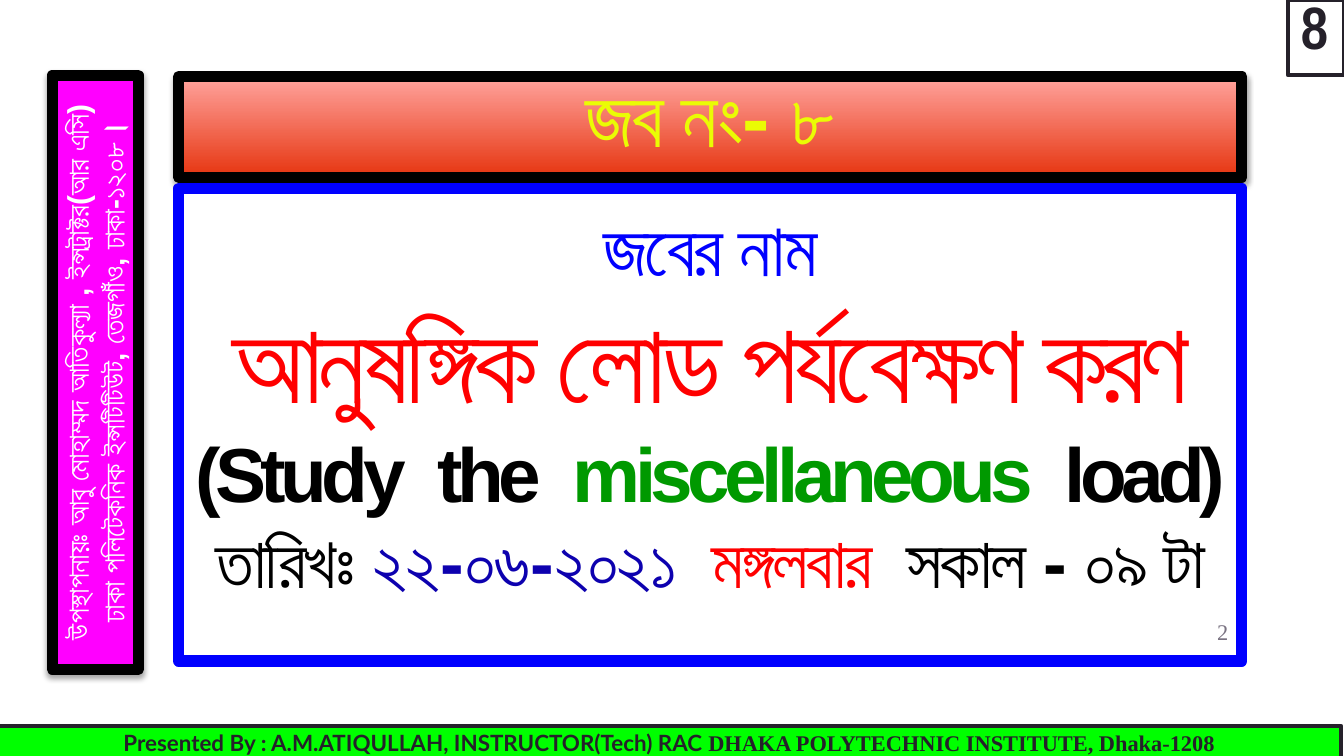
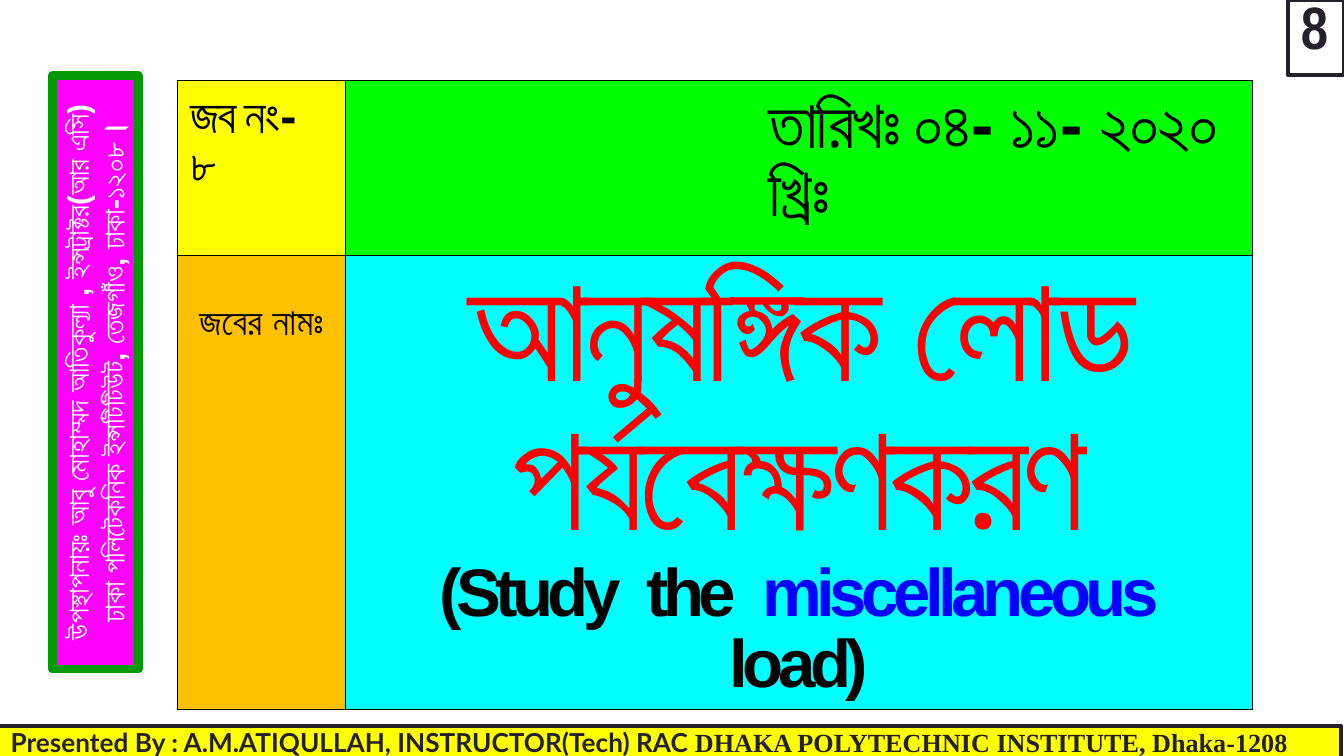
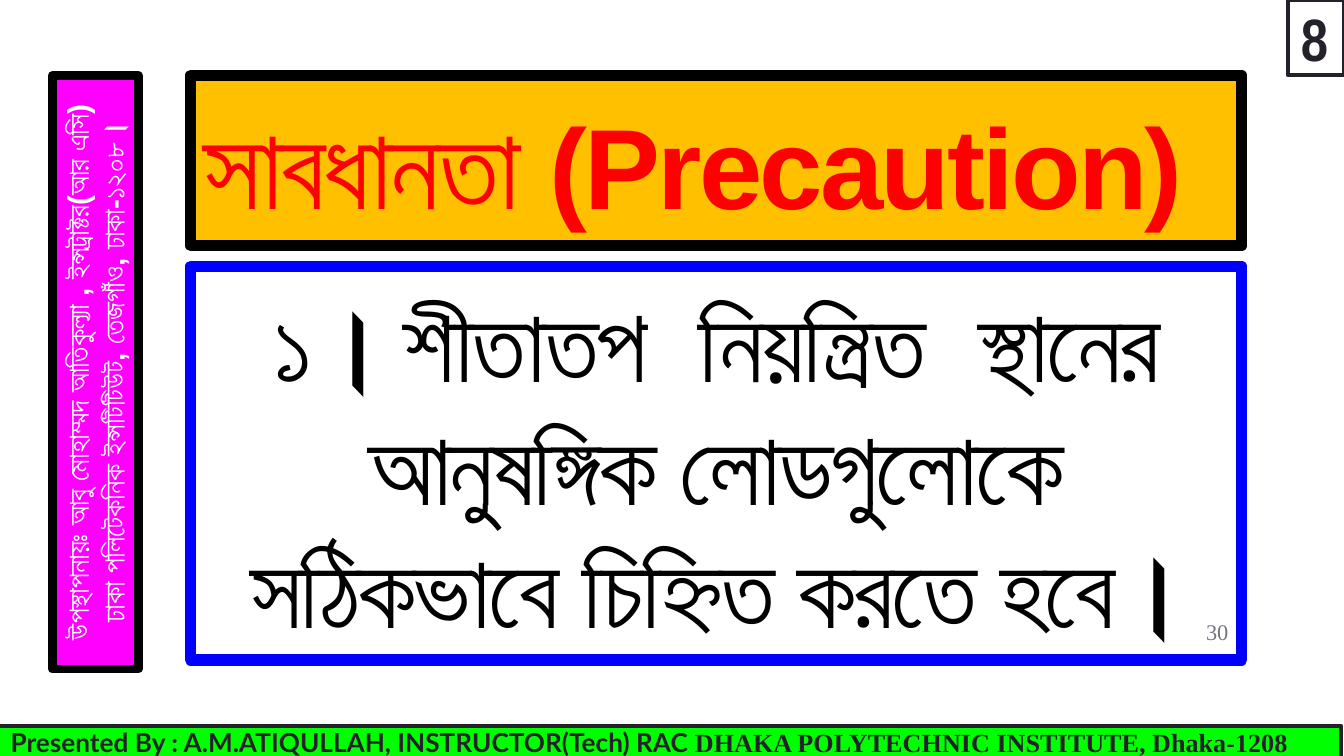
from dataclasses import dataclass
from typing import Optional

from lxml.etree import SubElement
from pptx import Presentation
from pptx.dml.color import RGBColor
from pptx.enum.shapes import MSO_SHAPE
from pptx.enum.text import MSO_ANCHOR, PP_ALIGN
from pptx.oxml.ns import qn
from pptx.util import Pt


# Theme: colours, fonts and type sizes
@dataclass(frozen=True)
class Theme:
    ink: str = "25212A"
    black: str = "000000"
    white: str = "FFFFFF"
    grey: str = "797281"
    red: str = "FF0000"
    green: str = "009900"
    lime: str = "00FF00"
    blue: str = "0000FF"
    navy: str = "0D01AF"
    cyan: str = "00FFFF"
    yellow: str = "FFFF00"
    lemon: str = "EAFC04"
    amber: str = "FFC000"
    magenta: str = "FF00FF"
    title_top: str = "FFA39D"
    title_bottom: str = "E63510"
    sans: str = "Arial"
    narrow: str = "Arial Narrow"
    humanist: str = "Lato"
    serif: str = "Times New Roman"
    page_size: float = 12
    sidebar_size: float = 16
    badge_size: float = 32
    title_size: float = 44
    precaution_size: float = 61
    step_size: float = 55
    tight: float = -1.5
    tighter: float = -3
    leading: float = 1.2
    table_leading: float = 1.0


THEME = Theme()


@dataclass(frozen=True)
class Span:
    text: str
    size: float
    color: str = THEME.black
    spacing: float = 0
    font: str = THEME.sans
    bold: bool = True


@dataclass(frozen=True)
class Line:
    spans: list[Span]
    align: PP_ALIGN = PP_ALIGN.CENTER
    leading: Optional[float] = THEME.leading
    first_indent: float = 0


@dataclass(frozen=True)
class Box:
    left: float
    top: float
    width: float
    height: float
    fill: Optional[str] = None
    line: Optional[str] = None
    line_width: float = 0
    anchor: MSO_ANCHOR = MSO_ANCHOR.TOP
    inset_x: float = 7.2
    inset_y: float = 7.2
    rotation: float = 0
    shadow: bool = False


@dataclass(frozen=True)
class JobCell:
    row: int
    column: int
    fill: str
    margin_top: float
    lines: list[Line]


# Text
def wide_space(size: float, spacing: float) -> Span:
    """One space, tracked out to the width of two."""
    return Span(" ", size, spacing=round(0.28 * size + 2 * spacing, 1))


def write_lines(frame, lines: list[Line]) -> None:
    frame.text = "\n".join(line.spans[0].text for line in lines)
    for paragraph, line in zip(frame.paragraphs, lines):
        paragraph.alignment = line.align
        if line.leading:
            paragraph.line_spacing = Pt(line.leading * line.spans[0].size)
        if line.first_indent:
            paragraph._p.get_or_add_pPr().set("indent", str(Pt(line.first_indent)))
        runs = [paragraph.runs[0]] + [paragraph.add_run() for _ in line.spans[1:]]
        for run, span in zip(runs, line.spans):
            run.text = span.text
            run.font.size = Pt(span.size)
            run.font.name = span.font
            run.font.bold = span.bold
            run.font.color.rgb = RGBColor.from_string(span.color)
            if span.spacing:
                run._r.get_or_add_rPr().set("spc", str(round(span.spacing * 100)))


def study_line(size: float, accent: str, leading: float) -> Line:
    gap = wide_space(size, THEME.tighter)

    def word(text: str, color: str = THEME.black) -> Span:
        return Span(text, size, color, THEME.tighter)

    return Line([word("(Study"), gap, word("the"), gap,
                 word("miscellaneous", accent), gap, word("load)")], leading=leading)


# Shapes
def add_shadow(shape) -> None:
    effects = shape._element.spPr.find(qn("a:effectLst"))
    outer = SubElement(effects, qn("a:outerShdw"), blurRad=str(Pt(3.1)),
                       dist=str(Pt(1.8)), dir="5400000", rotWithShape="0")
    color = SubElement(outer, qn("a:srgbClr"), val=THEME.black)
    SubElement(color, qn("a:alpha"), val="35000")


def add_box(slide, box: Box, lines: list[Line]):
    shape = slide.shapes.add_shape(MSO_SHAPE.RECTANGLE, Pt(box.left), Pt(box.top),
                                   Pt(box.width), Pt(box.height))
    shape.rotation = box.rotation
    if box.fill:
        shape.fill.solid()
        shape.fill.fore_color.rgb = RGBColor.from_string(box.fill)
    else:
        shape.fill.background()
    if box.line:
        shape.line.color.rgb = RGBColor.from_string(box.line)
        shape.line.width = Pt(box.line_width)
    else:
        shape.line.fill.background()
    shape.shadow.inherit = False
    if box.shadow:
        add_shadow(shape)
    frame = shape.text_frame
    frame.word_wrap = True
    frame.vertical_anchor = box.anchor
    frame.margin_left = frame.margin_right = Pt(box.inset_x)
    frame.margin_top = frame.margin_bottom = Pt(box.inset_y)
    write_lines(frame, lines)
    return shape


# Parts shared by the slides
def add_sidebar(slide, border: str, border_width: float, shadow: bool = False) -> None:
    presenter = ["উপস্থাপনায়ঃ আবু মোহাম্মদ আতিকুল্যা , ইন্সট্রাক্টর(আর এসি)",
                 "ঢাকা পলিটেকনিক ইন্সটিটিউট, তেজগাঁও, ঢাকা-১২০৮।"]
    box = Box(-108, 176.4, 318.2, 46.1, THEME.magenta, border, border_width,
              inset_y=3.6, rotation=270, shadow=shadow)
    add_box(slide, box, [Line([Span(text, THEME.sidebar_size, THEME.white)])
                         for text in presenter])


def add_footer(slide, fill: str, size: float, align: PP_ALIGN) -> None:
    box = Box(-1.4, 388.8, 720, 18, fill, THEME.ink, 2, MSO_ANCHOR.MIDDLE, inset_y=3.6)
    add_box(slide, box, [Line([
        Span("Presented By : A.M.ATIQULLAH, INSTRUCTOR(Tech) RAC ", size,
             THEME.ink, font=THEME.humanist),
        Span("DHAKA POLYTECHNIC INSTITUTE, Dhaka-1208", size,
             THEME.ink, font=THEME.serif)], align, None)])


def add_job_badge(slide, anchor: MSO_ANCHOR = MSO_ANCHOR.BOTTOM) -> None:
    box = Box(689.8, 0, 30.2, 40.3, THEME.white, THEME.ink, 2, anchor)
    add_box(slide, box, [Line([Span("8", THEME.badge_size, THEME.ink, THEME.tighter,
                                    THEME.narrow)], PP_ALIGN.LEFT, None)])


def add_page_number(slide, number: str) -> None:
    box = Box(622, 322.6, 43.2, 31, anchor=MSO_ANCHOR.MIDDLE)
    add_box(slide, box, [Line([Span(number, THEME.page_size, THEME.grey,
                                    font=THEME.serif, bold=False)],
                              PP_ALIGN.RIGHT, None)])


# Slide 1: job title
def build_job_title(slide) -> None:
    title = add_box(
        slide, Box(95.8, 41, 569.5, 54, line=THEME.black, line_width=6,
                   anchor=MSO_ANCHOR.BOTTOM, shadow=True),
        [Line([Span("জব নং- ৮", THEME.title_size, THEME.lemon, THEME.tight)])])
    title.fill.gradient()
    title.fill.gradient_angle = 270
    for stop, color in zip(title.fill.gradient_stops,
                           (THEME.title_top, THEME.title_bottom)):
        stop.color.rgb = RGBColor.from_string(color)

    date_size = 38
    date_gap = wide_space(date_size, THEME.tight)
    add_box(slide, Box(95.8, 100.8, 569.5, 253.4, line=THEME.blue, line_width=6), [
        Line([Span("জবের নাম", 40, THEME.blue, THEME.tight)]),
        Line([Span("আনুষঙ্গিক লোড পর্যবেক্ষণ করণ", 60, THEME.red, THEME.tighter)]),
        study_line(41, THEME.green, THEME.leading),
        Line([Span("তারিখঃ ", date_size, spacing=THEME.tight),
              Span("২২-০৬-২০২১", date_size, THEME.navy, THEME.tight), date_gap,
              Span("মঙ্গলবার", date_size, THEME.red, THEME.tight), date_gap,
              Span("সকাল - ০৯ টা", date_size, spacing=THEME.tight)]),
    ])
    add_page_number(slide, "2")
    add_footer(slide, THEME.lime, 12, PP_ALIGN.CENTER)
    add_sidebar(slide, THEME.black, 6, shadow=True)
    add_job_badge(slide)


# Slide 2: job table
def add_cell_borders(cell) -> None:
    properties = cell._tc.get_or_add_tcPr()
    for side in ("lnL", "lnR", "lnT", "lnB"):
        border = SubElement(properties, qn(f"a:{side}"), w=str(Pt(0.75)))
        fill = SubElement(border, qn("a:solidFill"))
        SubElement(fill, qn("a:srgbClr"), val=THEME.black)


def build_job_table(slide) -> None:
    add_job_badge(slide)
    add_sidebar(slide, THEME.green, 4.5)

    widths, heights = (90, 486), (93.6, 243.4)
    table = slide.shapes.add_table(2, 2, Pt(95), Pt(43.2), Pt(sum(widths)),
                                   Pt(sum(heights))).table
    table.first_row = table.horz_banding = False
    for column, width in zip(table.columns, widths):
        column.width = Pt(width)
    for row, height in zip(table.rows, heights):
        row.height = Pt(height)

    leading = THEME.table_leading
    job_cells = [
        JobCell(0, 0, THEME.yellow, 8, [
            Line([Span("জব নং- ৮", 26, spacing=THEME.tight)], PP_ALIGN.LEFT, leading)]),
        JobCell(0, 1, THEME.lime, 8, [
            Line([Span("তারিখঃ ০৪- ১১- ২০২০ খ্রিঃ", 36, spacing=THEME.tight)],
                 leading=leading, first_indent=207)]),
        JobCell(1, 0, THEME.amber, 27, [
            Line([Span("জবের নামঃ", 20)], leading=leading)]),
        JobCell(1, 1, THEME.cyan, 3.6, [
            Line([Span("আনুষঙ্গিক লোড পর্যবেক্ষণকরণ", 80, THEME.red, THEME.tighter)],
                 leading=leading),
            study_line(36, THEME.blue, 1.05)]),
    ]
    for job_cell in job_cells:
        cell = table.cell(job_cell.row, job_cell.column)
        add_cell_borders(cell)
        cell.fill.solid()
        cell.fill.fore_color.rgb = RGBColor.from_string(job_cell.fill)
        cell.margin_top = Pt(job_cell.margin_top)
        write_lines(cell.text_frame, job_cell.lines)

    add_footer(slide, THEME.yellow, 14, PP_ALIGN.LEFT)


# Slide 3: precaution
def build_precaution(slide) -> None:
    add_box(slide, Box(102.2, 40.3, 563, 91.4, THEME.amber, THEME.black, 6,
                       MSO_ANCHOR.BOTTOM),
            [Line([Span("সাবধানতা (Precaution)", THEME.precaution_size, THEME.red,
                        THEME.tight)], PP_ALIGN.LEFT)])

    def step(text: str) -> Span:
        return Span(text, THEME.step_size, spacing=THEME.tight)

    gap = wide_space(THEME.step_size, THEME.tight)
    add_box(slide, Box(102.2, 142.6, 563, 211, line=THEME.blue, line_width=6), [
        Line([step("১। শীতাতপ"), gap, step("নিয়ন্ত্রিত"), gap, step("স্থানের")]),
        Line([step("আনুষঙ্গিক লোডগুলোকে")]),
        Line([step("সঠিকভাবে চিহ্নিত করতে হবে।")]),
    ])
    add_page_number(slide, "30")
    add_sidebar(slide, THEME.black, 4.5)
    add_footer(slide, THEME.lime, 14, PP_ALIGN.LEFT)
    add_job_badge(slide, MSO_ANCHOR.MIDDLE)


def main() -> None:
    deck = Presentation()
    deck.slide_width, deck.slide_height = Pt(720), Pt(405)
    blank = deck.slide_layouts[6]
    for build in (build_job_title, build_job_table, build_precaution):
        build(deck.slides.add_slide(blank))
    deck.save("out.pptx")


if __name__ == "__main__":
    main()
